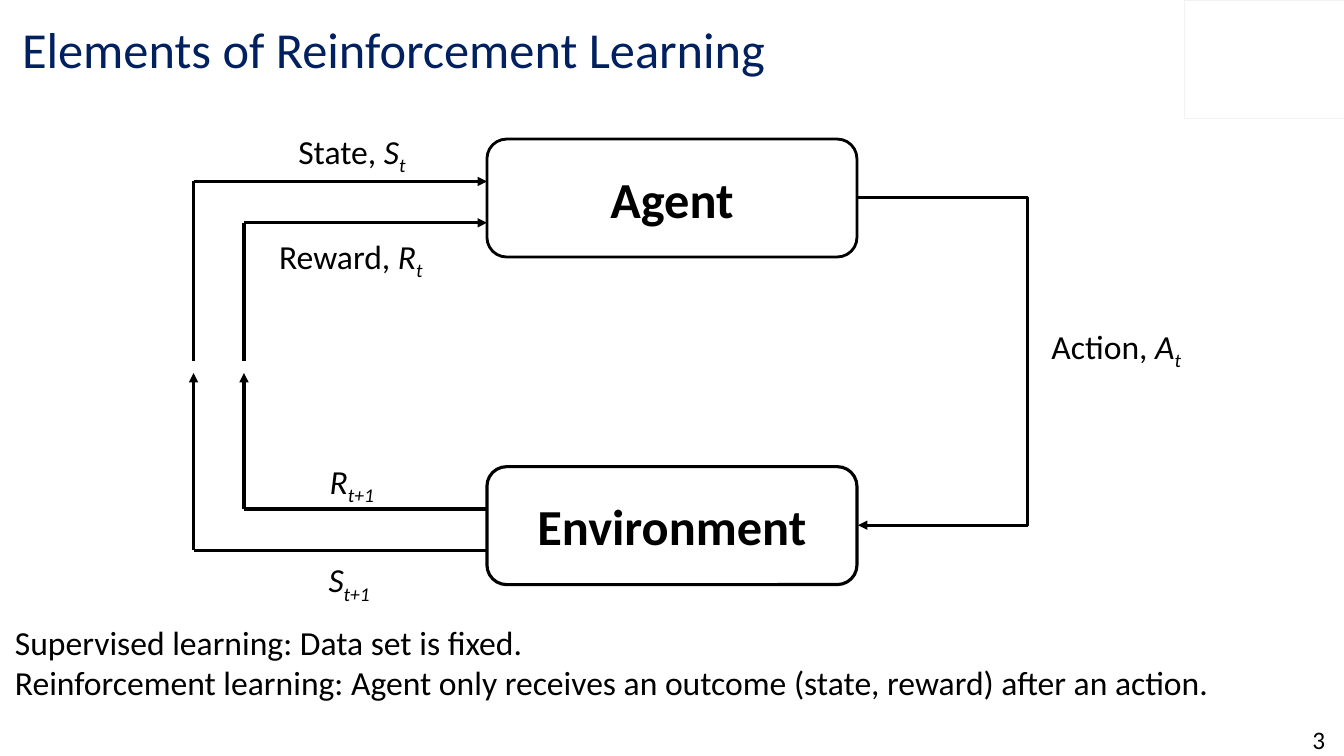
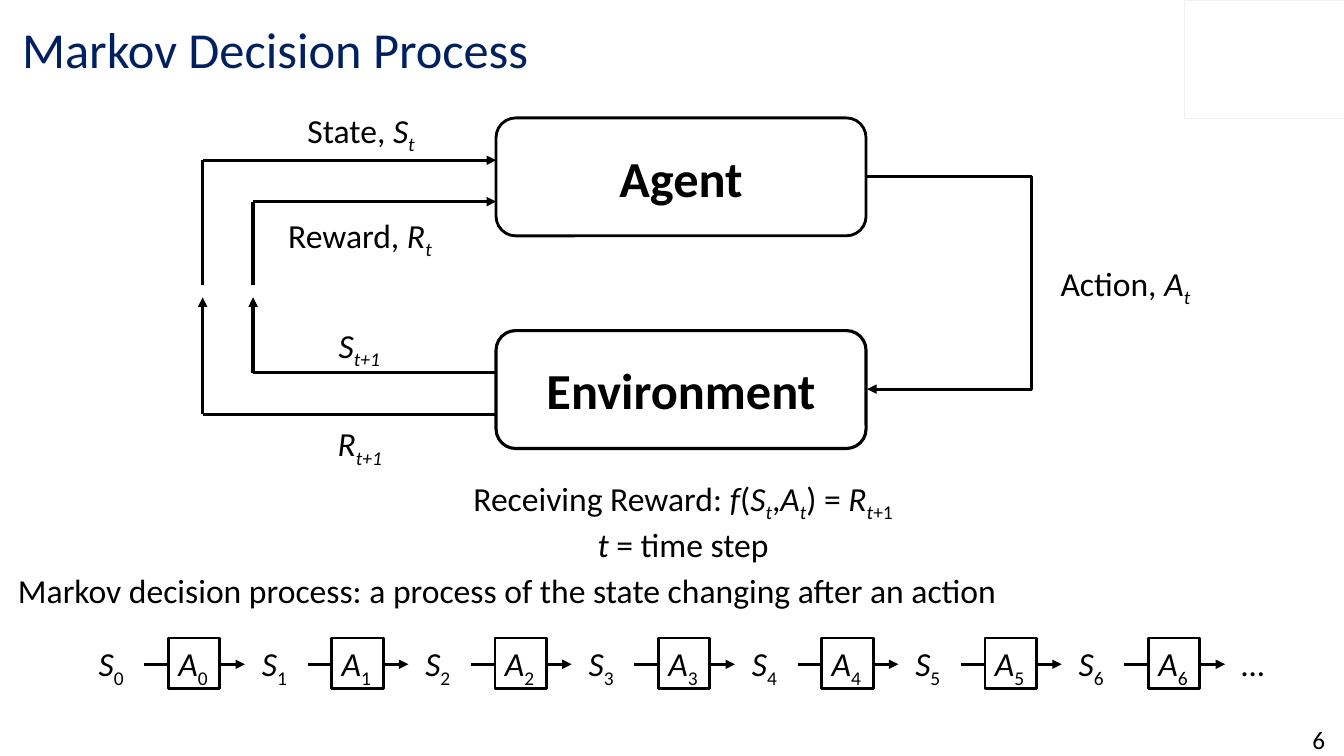
from pptx import Presentation
from pptx.dml.color import RGBColor as RGB
from pptx.enum.shapes import MSO_CONNECTOR as Link, MSO_SHAPE as Form
from pptx.enum.text import MSO_ANCHOR as Anchor, MSO_AUTO_SIZE as Fit, PP_ALIGN as Align
from pptx.oxml.ns import qn
from pptx.util import Inches, Pt
from lxml.etree import SubElement as Sub

HUES = {"ink": "000000", "title": "002060", "paper": "FFFFFF", "frame": "F2F2F2"}
FONT = "Calibri"


def hue(name):
    return RGB.from_string(HUES[name])


def sym(base, sub, style="is"):
    return [(base, "i"), (sub, style)]


class Deck:
    def __init__(self):
        self.prs = Presentation()
        self.prs.slide_width, self.prs.slide_height = Inches(13.33), Inches(7.5)
        self.page = None

    def start(self, title, number):
        self.page = self.prs.slides.add_slide(self.prs.slide_layouts[6])
        self.shape(Form.RECTANGLE, 11.74, 0, 1.59, 1.17, None, "frame", 0.25)
        self.text(0.12, 0.1, 10.29, 0.75, [[(title, "")]], size=36, color="title", mid=True)
        self.text(12.83, 7.17, 0.5, 0.33, [[(number, "")]], size=18, mid=True, align=Align.CENTER)

    def label(self, frame, paras, size=24, color="ink", bold=False, mid=False, align=Align.LEFT):
        look = {
            "word_wrap": mid,
            "auto_size": Fit.NONE if mid else Fit.SHAPE_TO_FIT_TEXT,
            "vertical_anchor": Anchor.MIDDLE if mid else Anchor.TOP,
        }
        for key, val in look.items():
            setattr(frame, key, val)
        for num, runs in enumerate(paras):
            para = frame.add_paragraph() if num else frame.paragraphs[0]
            para.alignment = align
            for words, style in runs:
                run = para.add_run()
                run.text = words
                face = {"name": FONT, "size": Pt(size), "bold": bold, "italic": "i" in style}
                for key, val in face.items():
                    setattr(run.font, key, val)
                run.font.color.rgb = hue(color)
                if "s" in style:
                    run.font._element.set("baseline", "-25000")

    def text(self, x, y, w, h, paras, **look):
        box = self.page.shapes.add_textbox(Inches(x), Inches(y), Inches(w), Inches(h))
        self.label(box.text_frame, paras, **look)

    def shape(self, form, x, y, w, h, fill="paper", line="ink", width=2.25):
        box = self.page.shapes.add_shape(form, Inches(x), Inches(y), Inches(w), Inches(h))
        box.shadow.inherit = False
        if fill:
            box.fill.solid()
            box.fill.fore_color.rgb = hue(fill)
        else:
            box.fill.background()
        box.line.color.rgb = hue(line)
        box.line.width = Pt(width)
        return box

    def node(self, x, y, name, width):
        box = self.shape(Form.ROUNDED_RECTANGLE, x, y, 3.67, 1.17, width=width)
        self.label(box.text_frame, [[(name, "")]], size=36, bold=True, mid=True, align=Align.CENTER)

    def line(self, x1, y1, x2, y2, head=False, turn=None):
        kind = Link.STRAIGHT if turn is None else Link.ELBOW
        wire = self.page.shapes.add_connector(kind, Inches(x1), Inches(y1), Inches(x2), Inches(y2))
        wire.line.color.rgb = hue("ink")
        wire.line.width = Pt(2.25)
        props = wire._element.spPr
        if head:
            Sub(props.find(qn("a:ln")), qn("a:tailEnd"), type="triangle")
        Sub(props, qn("a:effectLst"))
        if turn is not None:
            ratio = round((turn - x1) / (x2 - x1) * 100000)
            guides = props.find(qn("a:prstGeom")).get_or_add_avLst()
            Sub(guides, qn("a:gd"), name="adj1", fmla=f"val {ratio}")

    def loop(self, x, top, low, gap, turn, act, upper, lower):
        self.node(x, top, "Agent", 2)
        self.node(x, low, "Environment", 2.25)
        self.line(x + 3.67, top + 0.58, x + 3.68, low + 0.58, True, turn)
        for left, into, out in ((x - 2.91, 0.42, 0.83), (x - 2.41, 0.83, 0.42)):
            self.line(x, low + out, left, low + out)
            self.line(left, low + out, left, gap + 0.12, True)
            self.line(left, gap, left, top + into)
            self.line(left, top + into, x, top + into, True)
        tags = (
            (x - 1.97, top - 0.13, 1.29, [("State, ", "")] + sym("S", "t")),
            (x - 2.16, top + 0.91, 1.67, [("Reward, ", "")] + sym("R", "t")),
            (x + 5.5, act, 1.51, [("Action, ", "")] + sym("A", "t")),
            (x - 1.66, low - 0.11, 0.68, sym(upper, "t+1")),
            (x - 1.67, low + 0.87, 0.68, sym(lower, "t+1")),
        )
        for left, y, w, runs in tags:
            self.text(left, y, w, 0.5, [runs])

    def chain(self, x, y, step, count):
        for num in range(count):
            left, sub = x + num * step, str(num)
            self.text(left, y, 0.47, 0.5, [sym("S", sub, "s")])
            self.line(left + 0.55, y + 0.26, left + 1.55, y + 0.26, True)
            box = self.shape(Form.RECTANGLE, left + 0.79, y, 0.51, 0.5, width=2)
            self.label(box.text_frame, [sym("A", sub, "s")])
        self.text(x + count * step, y, 0.43, 0.5, [[("…", "i")]])


def main():
    deck = Deck()
    deck.start("Elements of Reinforcement Learning", "3")
    deck.loop(4.83, 1.38, 4.63, 3.58, 10.22, 3.18, "R", "S")
    deck.text(0.05, 6.12, 12.26, 0.91, [
        [("Supervised learning: Data set is fixed.", "")],
        [("Reinforcement learning: Agent only receives an outcome (state, reward) after an action.", "")],
    ])

    deck.start("Markov Decision Process", "6")
    deck.loop(4.92, 1.17, 3.28, 2.83, 10.26, 2.56, "S", "R")
    rule = [("Receiving Reward: ", ""), ("f", "i"), ("(", "")] + sym("S", "t") + [(",", "")]
    rule += sym("A", "t") + [(") = ", "")] + sym("R", "t") + [("+1", "s")]
    step = [("t ", "i"), ("= time step", "")]
    deck.text(4.55, 4.69, 4.45, 0.91, [rule, step], align=Align.CENTER)
    deck.text(0.08, 5.6, 9.93, 0.5, [[("Markov decision process: a process of the state changing after an action", "")]])
    deck.chain(0.88, 6.33, 1.62, 7)
    deck.prs.save("out.pptx")


if __name__ == "__main__":
    main()
